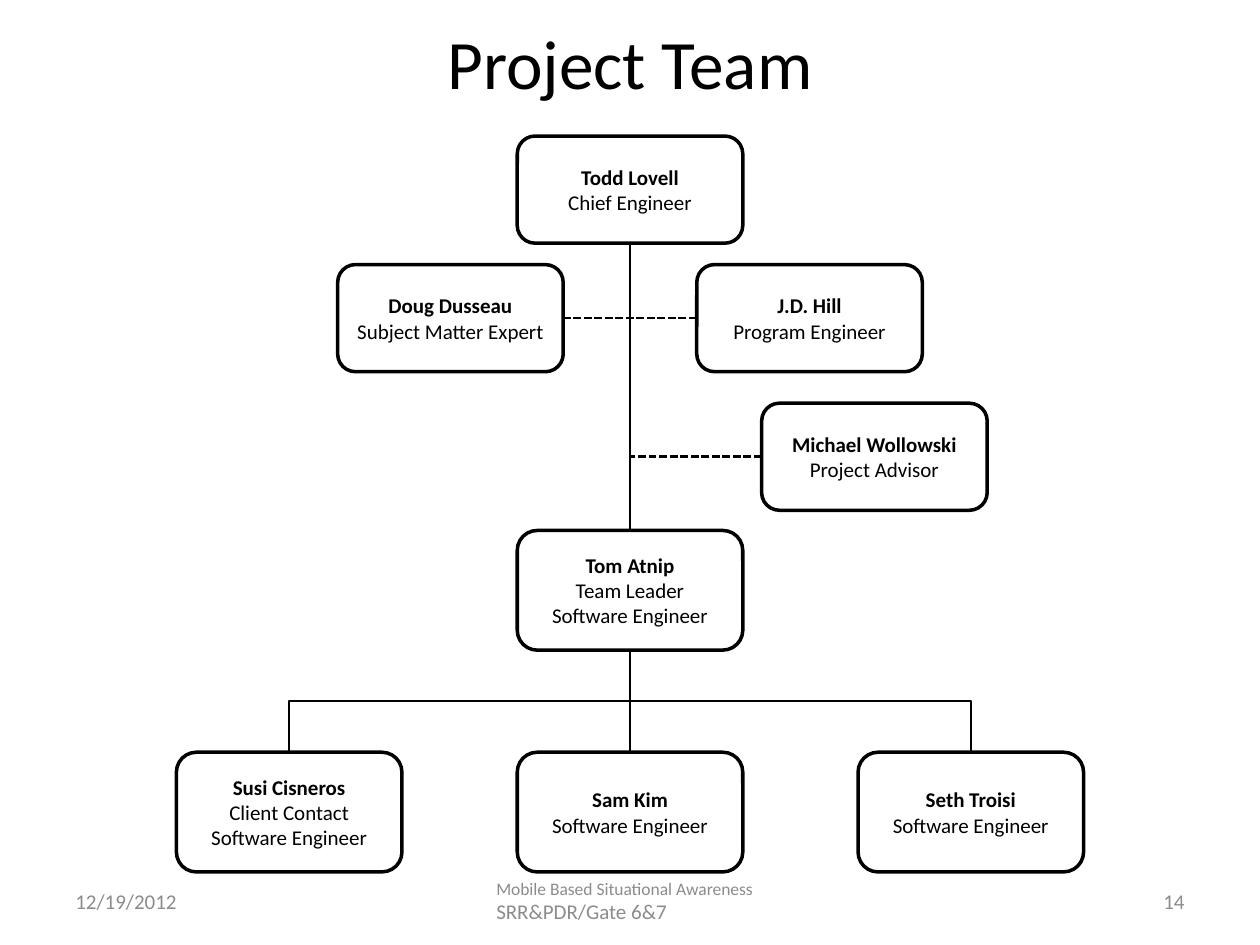
import pptx
import pptx.util
import pptx.dml.color
import pptx.enum.dml
import pptx.enum.shapes
import pptx.enum.text
import pptx.oxml.ns
import lxml.etree

SLIDE_W, SLIDE_H = 10, 7.5
CARD_W = 1.79
SHORT, TALL = 0.85, 0.95
MID, BRANCH, ASIDE = 5, 2.705, 1.425
TOP, LEFT, BOTTOM, RIGHT = range(4)
COLORS = {"ink": "000000", "paper": "FFFFFF", "muted": "8C8C8C"}
ALIGN = pptx.enum.text.PP_ALIGN

TITLE = "Project Team"
TEAM = {
    "chief": (MID, 1.08, SHORT, ["Todd Lovell", "Chief Engineer"]),
    "leader": (MID, 4.21, TALL, ["Tom Atnip", "Team Leader", "Software Engineer"]),
    "contact": (MID - BRANCH, 5.97, TALL,
                ["Susi Cisneros", "Client Contact", "Software Engineer"]),
    "developer": (MID, 5.97, TALL, ["Sam Kim", "Software Engineer"]),
    "tester": (MID + BRANCH, 5.97, TALL, ["Seth Troisi", "Software Engineer"]),
    "program": (MID + ASIDE, 2.1, SHORT, ["J.D. Hill", "Program Engineer"]),
    "expert": (MID - ASIDE, 2.1, SHORT, ["Doug Dusseau", "Subject Matter Expert"]),
    "advisor": (6.94, 3.2, SHORT, ["Michael Wollowski", "Project Advisor"]),
}
REPORTS = ["developer", "tester", "contact"]
FOOTERS = [
    (3.84, 7, 2.31, 0.3, ALIGN.LEFT,
     [("Mobile Based Situational Awareness ", 10), ("SRR&PDR/Gate 6&7", 12)]),
    (0.5, 6.95, 2.33, 0.4, ALIGN.LEFT, [("12/19/2012", 12)]),
    (7.17, 6.95, 2.33, 0.4, ALIGN.RIGHT, [("14", 12)]),
]


def inches(*lengths):
    return [pptx.util.Inches(length) for length in lengths]


def rgb(name):
    return pptx.dml.color.RGBColor.from_string(COLORS[name])


def write(paragraph, text, size=12, color="ink", bold=False, align=ALIGN.CENTER):
    paragraph.alignment = align
    run = paragraph.add_run()
    run.text = text
    run.font.name = "Calibri"
    run.font.size = pptx.util.Pt(size)
    run.font.bold = bold
    run.font.color.rgb = rgb(color)


def add_card(slide, center, top, height, lines):
    card = slide.shapes.add_shape(
        pptx.enum.shapes.MSO_SHAPE.ROUNDED_RECTANGLE,
        *inches(center - CARD_W / 2, top, CARD_W, height))
    card.shadow.inherit = False
    card.fill.solid()
    card.fill.fore_color.rgb = rgb("paper")
    card.line.color.rgb = rgb("ink")
    card.line.width = pptx.util.Pt(2)
    frame = card.text_frame
    frame.word_wrap = True
    frame.vertical_anchor = pptx.enum.text.MSO_ANCHOR.MIDDLE
    frame.margin_left = frame.margin_right = pptx.util.Inches(0.01)
    frame.margin_top = frame.margin_bottom = pptx.util.Inches(0.01)
    for index, line in enumerate(lines):
        paragraph = frame.add_paragraph() if index else frame.paragraphs[0]
        write(paragraph, line, bold=index == 0)
    return card


def add_link(slide, start, end, kind="STRAIGHT", dashed=False):
    link = slide.shapes.add_connector(
        getattr(pptx.enum.shapes.MSO_CONNECTOR, kind), *inches(*start, *end))
    link.line.color.rgb = rgb("ink")
    link.line.width = pptx.util.Pt(1.5)
    if dashed:
        link.line.dash_style = pptx.enum.dml.MSO_LINE.SQUARE_DOT
    lxml.etree.SubElement(link._element.spPr, pptx.oxml.ns.qn("a:effectLst"))
    return link


def turn_downward(link, start, end):
    drop, span = end[1] - start[1], abs(end[0] - start[0])
    center_x, center_y = (start[0] + end[0]) / 2, (start[1] + end[1]) / 2
    link.left, link.top, link.width, link.height = inches(
        center_x - drop / 2, center_y - span / 2, drop, span)
    leftward = end[0] < start[0]
    frame = link._element.spPr.find(pptx.oxml.ns.qn("a:xfrm"))
    frame.set("rot", str((90 if leftward else 270) * 60000))
    frame.set("flipH", "0" if leftward else "1")


def side(name, which):
    center, top, height, _ = TEAM[name]
    return {
        TOP: (center, top),
        LEFT: (center - CARD_W / 2, top + height / 2),
        BOTTOM: (center, top + height),
        RIGHT: (center + CARD_W / 2, top + height / 2),
    }[which]


def join(slide, cards, first, first_side, last, last_side, **style):
    start, end = side(first, first_side), side(last, last_side)
    link = add_link(slide, start, end, **style)
    link.begin_connect(cards[first], first_side)
    link.end_connect(cards[last], last_side)
    if style.get("kind") == "ELBOW":
        turn_downward(link, start, end)


def main():
    deck = pptx.Presentation()
    deck.slide_width, deck.slide_height = inches(SLIDE_W, SLIDE_H)
    slide = deck.slides.add_slide(deck.slide_layouts[5])

    title = slide.shapes.title
    title.left, title.top, title.width, title.height = inches(0.5, 0.15, 9, 0.68)
    title.text_frame.vertical_anchor = pptx.enum.text.MSO_ANCHOR.MIDDLE
    write(title.text_frame.paragraphs[0], TITLE, size=39.6)

    for left, top, width, height, align, parts in FOOTERS:
        frame = slide.shapes.add_textbox(*inches(left, top, width, height)).text_frame
        frame.word_wrap = True
        frame.vertical_anchor = pptx.enum.text.MSO_ANCHOR.MIDDLE
        for text, size in parts:
            write(frame.paragraphs[0], text, size=size, color="muted", align=align)

    cards = {role: add_card(slide, *card) for role, card in TEAM.items()}
    for report in REPORTS:
        join(slide, cards, "leader", BOTTOM, report, TOP, kind="ELBOW")
    join(slide, cards, "program", LEFT, "expert", RIGHT, dashed=True)
    join(slide, cards, "chief", BOTTOM, "leader", TOP)
    advisor_side = side("advisor", LEFT)
    advice = add_link(slide, advisor_side, (MID, advisor_side[1]), dashed=True)
    advice.begin_connect(cards["advisor"], LEFT)

    deck.save("out.pptx")


if __name__ == "__main__":
    main()
